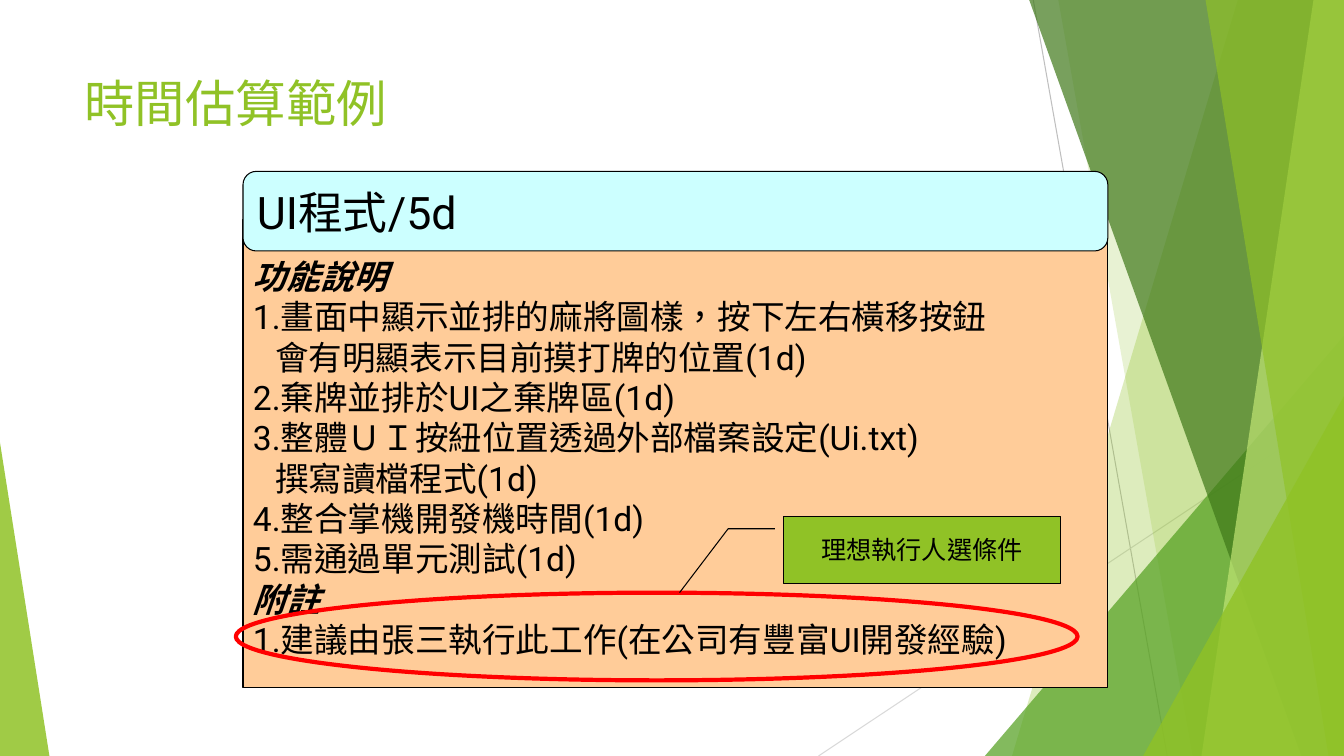
from lxml import etree
from pptx import Presentation
from pptx.dml.color import RGBColor
from pptx.enum.lang import MSO_LANGUAGE_ID
from pptx.enum.shapes import MSO_CONNECTOR, MSO_SHAPE
from pptx.enum.text import MSO_ANCHOR, PP_ALIGN
from pptx.oxml.ns import qn
from pptx.util import Inches, Pt

STRAIGHT = MSO_CONNECTOR.STRAIGHT
RECTANGLE = MSO_SHAPE.RECTANGLE
ROUNDED = MSO_SHAPE.ROUNDED_RECTANGLE
OVAL = MSO_SHAPE.OVAL
TRIANGLE = MSO_SHAPE.ISOSCELES_TRIANGLE
CALLOUT = MSO_SHAPE.LINE_CALLOUT_2
TOP, MIDDLE = MSO_ANCHOR.TOP, MSO_ANCHOR.MIDDLE
LEFT, CENTER = PP_ALIGN.LEFT, PP_ALIGN.CENTER
CHINESE = MSO_LANGUAGE_ID.TRADITIONAL_CHINESE

WIDTH, HEIGHT = Inches(13.333), Inches(7.5)
FONT = "Roboto"
COLORS = {
    "green": "90C226", "leaf": "54A021", "forest": "3F7819", "lime": "C0E474",
    "gray": "BFBFBF", "pale gray": "D9D9D9", "peach": "FFCC99",
    "cyan": "CCFFFF", "red": "FF0000", "black": "000000",
}
CARD_LEFT, CARD_WIDTH = 18.08, 64.35
CONTINUATION_INDENT = 1.65

RAYS = [
    ((76.88, 0), (86.85, 100), "gray"),
    ((100, 53.73), (60.9, 100), "pale gray"),
]
# Each band: left edge at the top, left edge at the bottom, colour, opacity.
BACK_BANDS = [(92.1, 75.3, "green", 30), (78.75, 88.73, "green", 20)]
FRONT_BANDS = [
    (76.58, 96.83, "forest", 70),
    (97.73, 89.4, "lime", 70),
    (89.7, 98.85, "green", 65),
]
# Text, whether it is a heading, whether it continues the line above.
CARD_LINES = [
    ("功能說明", True, False),
    ("1.畫面中顯示並排的麻將圖樣，按下左右橫移按鈕", False, False),
    ("會有明顯表示目前摸打牌的位置(1d)", False, True),
    ("2.棄牌並排於UI之棄牌區(1d)", False, False),
    ("3.整體ＵＩ按紐位置透過外部檔案設定(Ui.txt)", False, False),
    ("撰寫讀檔程式(1d)", False, True),
    ("4.整合掌機開發機時間(1d)", False, False),
    ("5.需通過單元測試(1d)", False, False),
    ("附註", True, False),
    ("1.建議由張三執行此工作(在公司有豐富UI開發經驗)", False, False),
]


def across(share):
    """Percent of the slide's width."""
    return round(WIDTH * share / 100)


def down(share):
    """Percent of the slide's height."""
    return round(HEIGHT * share / 100)


def rgb(name):
    return RGBColor.from_string(COLORS[name])


def paint(shape, fill=None, opacity=100, line=None, weight=0.75):
    shape.shadow.inherit = False
    if fill:
        shape.fill.solid()
        shape.fill.fore_color.rgb = rgb(fill)
        if opacity < 100:
            color = shape.fill._xPr.find(qn("a:solidFill"))[0]
            etree.SubElement(color, qn("a:alpha")).set("val", str(opacity * 1000))
    else:
        shape.fill.background()
    if line:
        shape.line.color.rgb = rgb(line)
        shape.line.width = Pt(weight)
    else:
        shape.line.fill.background()


def add_ray(page, start, end, color):
    ray = page.shapes.add_connector(
        STRAIGHT, across(start[0]), down(start[1]), across(end[0]), down(end[1]))
    ray.line.color.rgb = rgb(color)
    ray.line.width = Pt(0.75)
    etree.SubElement(ray._element.spPr, qn("a:effectLst"))


def add_band(page, top_left, bottom_left, color, opacity):
    """A full-height band that reaches the slide's right edge."""
    outline = page.shapes.build_freeform(across(top_left), 0)
    outline.add_line_segments(
        [(WIDTH, 0), (WIDTH, HEIGHT), (across(bottom_left), HEIGHT)], close=True)
    paint(outline.convert_to_shape(), color, opacity)


def add_box(page, kind, left, top, width, height, adjustments=(), **look):
    box = page.shapes.add_shape(
        kind, across(left), down(top), across(width), down(height))
    for index, value in enumerate(adjustments):
        box.adjustments[index] = value
    paint(box, **look)
    return box


def add_corner(page, left, top, width, apex, color, opacity):
    """A right triangle that stands on the slide's bottom edge."""
    add_box(page, TRIANGLE, left, top, width, 100 - top, [apex],
            fill=color, opacity=opacity)


def prepare_text(box, anchor=TOP, top_margin=0.67):
    frame = box.text_frame
    frame.word_wrap = True
    frame.vertical_anchor = anchor
    frame.margin_top = down(top_margin)
    return frame


def write(para, text, size, color="black", heading=False, align=LEFT, indent=0):
    para.alignment = align
    if indent:
        para._p.get_or_add_pPr().set("marL", str(across(indent)))
    span = para.add_run()
    span.text = text
    font = span.font
    font.name, font.size, font.language_id = FONT, Pt(size), CHINESE
    font.bold = font.italic = heading
    font.color.rgb = rgb(color)


def add_backdrop(page):
    for ray in RAYS:
        add_ray(page, *ray)
    for band in BACK_BANDS:
        add_band(page, *band)
    add_corner(page, 73.28, 44.4, 26.72, 1, "leaf", 72)
    for band in FRONT_BANDS:
        add_band(page, *band)
    add_corner(page, 85.05, 52.4, 14.95, 1, "green", 80)
    add_corner(page, 0, 58.53, 3.68, 0, "green", 85)


def add_title(page):
    box = page.shapes.add_textbox(
        across(5.55), down(8.93), across(70.5), down(19.2))
    write(prepare_text(box).paragraphs[0], "時間估算範例", 36, "green")


def add_card(page):
    body = add_box(page, RECTANGLE, CARD_LEFT, 29.07, CARD_WIDTH, 61.87,
                   fill="peach", line="black")
    frame = prepare_text(body, top_margin=4.8)
    for index, (text, heading, continued) in enumerate(CARD_LINES):
        para = frame.add_paragraph() if index else frame.paragraphs[0]
        write(para, text, 24, heading=heading,
              indent=CONTINUATION_INDENT if continued else 0)
    header = add_box(page, ROUNDED, CARD_LEFT, 22.67, CARD_WIDTH, 10.53, [0.167],
                     fill="cyan", line="black")
    write(prepare_text(header, MIDDLE).paragraphs[0], "UI程式/5d", 32)


def add_remark(page):
    add_box(page, OVAL, 17.55, 78.4, 62.63, 11.6, line="red", weight=3)
    label = add_box(page, CALLOUT, 58.28, 68.27, 20.63, 8.93,
                    [0.188, -0.03, 0.188, -0.199, 1.133, -0.374],
                    fill="green", line="black")
    write(prepare_text(label, MIDDLE).paragraphs[0], "理想執行人選條件", 18,
          align=CENTER)


def main():
    deck = Presentation()
    deck.slide_width, deck.slide_height = WIDTH, HEIGHT
    page = deck.slides.add_slide(deck.slide_layouts[6])
    add_backdrop(page)
    add_title(page)
    add_card(page)
    add_remark(page)
    deck.save("out.pptx")


if __name__ == "__main__":
    main()
